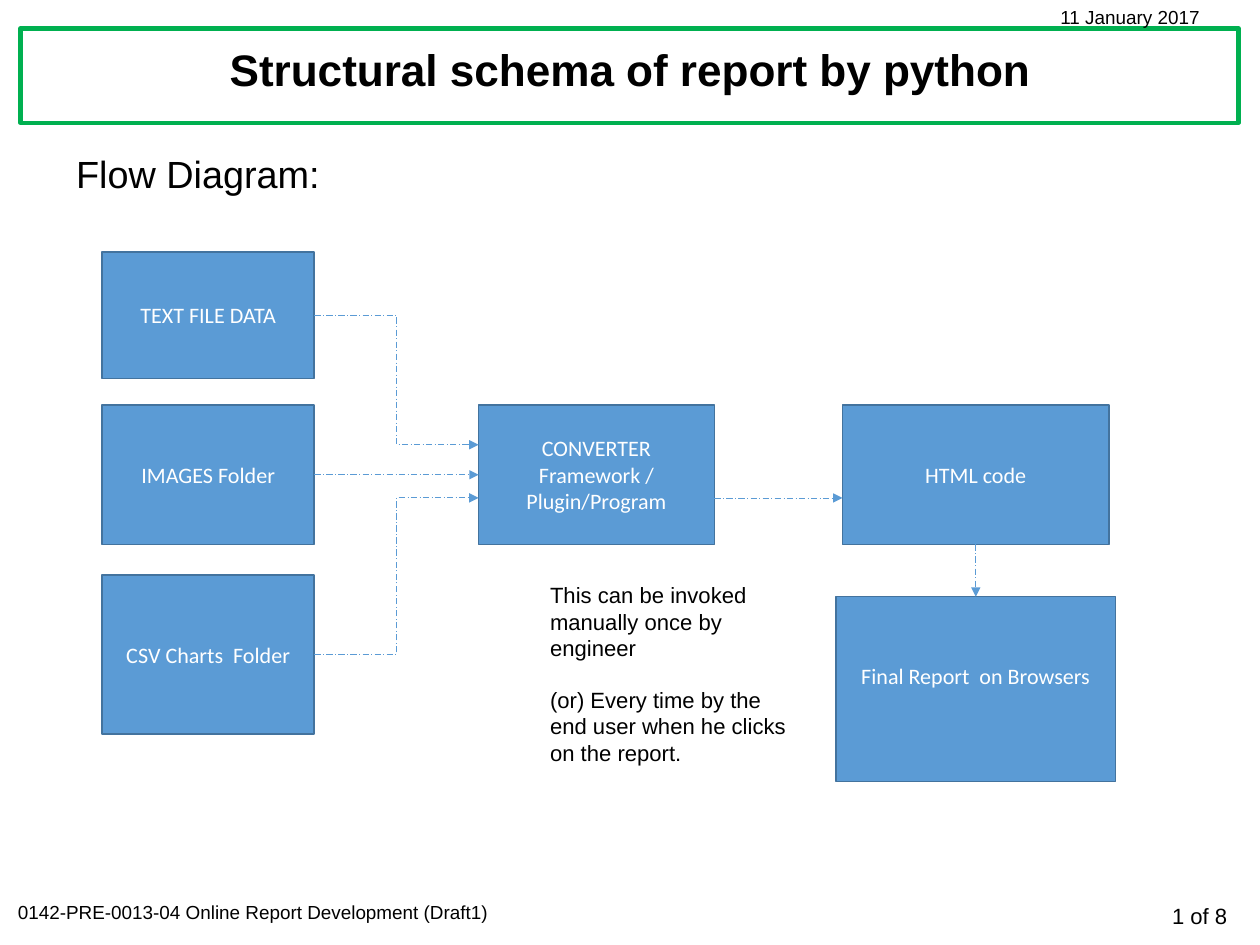
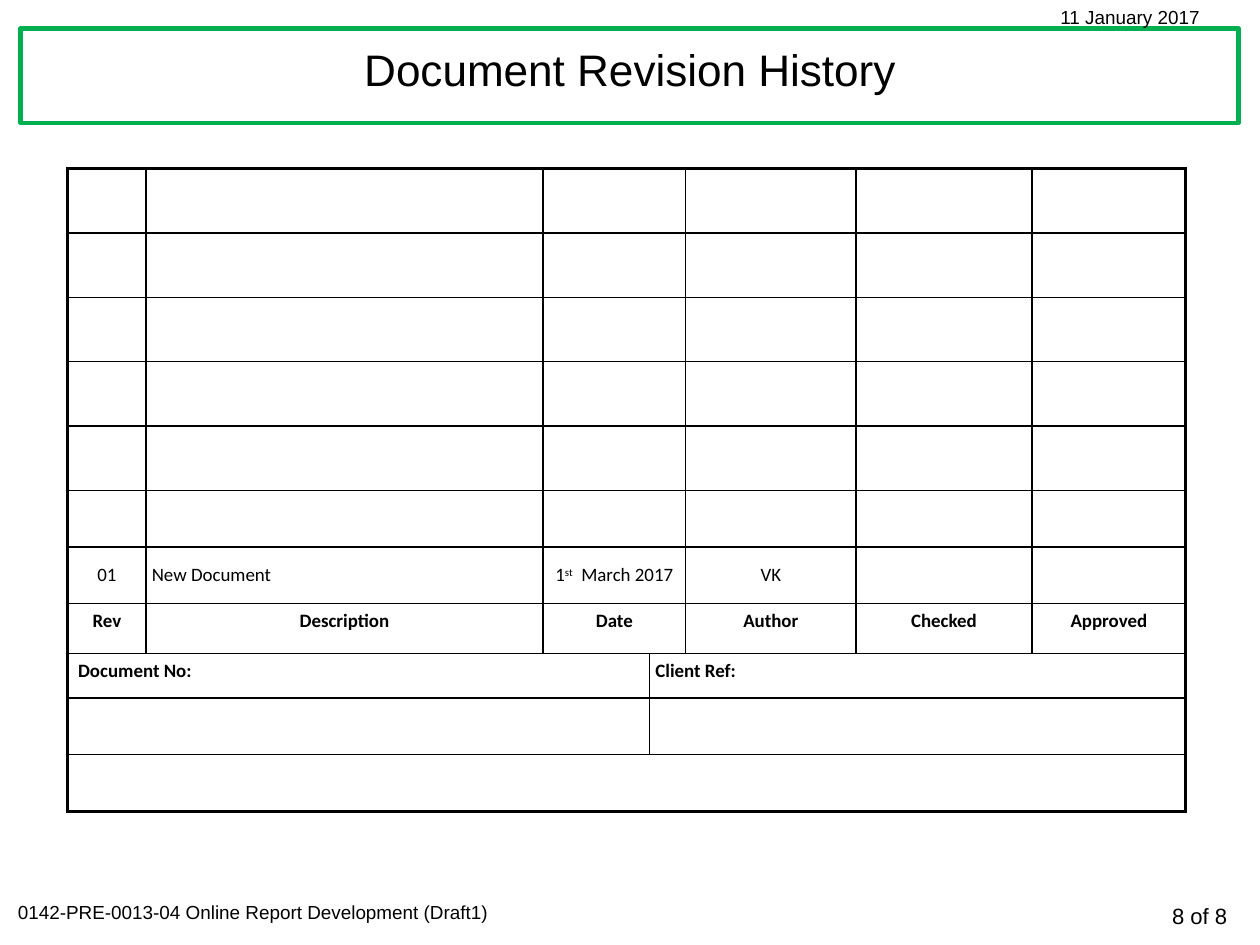
from dataclasses import dataclass
from typing import Optional

from lxml import etree
from pptx import Presentation
from pptx.dml.color import RGBColor
from pptx.enum.dml import MSO_LINE
from pptx.enum.shapes import MSO_CONNECTOR, MSO_SHAPE
from pptx.enum.text import MSO_ANCHOR, PP_ALIGN
from pptx.oxml.ns import qn
from pptx.util import Cm, Pt

BLACK = RGBColor(0x00, 0x00, 0x00)
WHITE = RGBColor(0xFF, 0xFF, 0xFF)
GREEN = RGBColor(0x00, 0xB0, 0x50)
BLUE = RGBColor(0x5B, 0x9B, 0xD5)
DARK_BLUE = RGBColor(0x43, 0x73, 0x9E)

LEFT, CENTER, RIGHT = PP_ALIGN.LEFT, PP_ALIGN.CENTER, PP_ALIGN.RIGHT
TOP, MIDDLE = MSO_ANCHOR.TOP, MSO_ANCHOR.MIDDLE
STRAIGHT, ELBOW = MSO_CONNECTOR.STRAIGHT, MSO_CONNECTOR.ELBOW
RECTANGLE = MSO_SHAPE.RECTANGLE
LONG_DASH_DOT = MSO_LINE.LONG_DASH_DOT

TITLE_AND_CONTENT, TITLE_ONLY = 1, 5
SIDE_TOP, SIDE_LEFT, SIDE_BOTTOM, SIDE_RIGHT = range(4)
PAGE_TOTAL = 8


@dataclass(frozen=True)
class Area:
    """A rectangle in centimetres."""
    left: float
    top: float
    width: float
    height: float

    def lengths(self) -> tuple:
        return Cm(self.left), Cm(self.top), Cm(self.width), Cm(self.height)

    def side(self, number: int) -> tuple:
        """Middle of one side."""
        x, y = self.left + self.width / 2, self.top + self.height / 2
        return ((x, self.top), (self.left, y), (x, self.top + self.height),
                (self.left + self.width, y))[number]


@dataclass(frozen=True)
class Style:
    size: float
    font: str = "Arial"
    color: RGBColor = BLACK
    bold: bool = False
    align: PP_ALIGN = LEFT


@dataclass(frozen=True)
class Step:
    area: Area
    lines: tuple
    bottom_inset: float = 0.13


@dataclass(frozen=True)
class Arrow:
    """A link between steps; a height replaces the middle of a side."""
    source: str
    target: str
    kind: MSO_CONNECTOR = STRAIGHT
    source_side: int = SIDE_RIGHT
    target_side: int = SIDE_LEFT
    source_height: Optional[float] = None
    target_height: Optional[float] = None


@dataclass(frozen=True)
class Entry:
    """A table cell that covers the columns from first to last."""
    first: int
    last: int
    runs: tuple = ()
    bold: bool = False
    align: PP_ALIGN = CENTER
    anchor: MSO_ANCHOR = TOP
    left_inset: float = 0.13


FRAME = Area(0.46, 0.64, 27.28, 2.11)
TITLE = Area(0.53, 0.56, 27.15, 2.11)
BODY = Area(1.45, 3.25, 25.68, 15.82)
DATE = Area(23.5, 0, 4.27, 0.76)
FOOTER = Area(0.15, 20.04, 11.13, 0.76)
PAGE_NUMBER = Area(23.88, 20.09, 3.86, 0.86)
NOTE = Area(12.07, 12.9, 6.1, 4.45)

SMALL = Style(12)
NUMBER = Style(14, align=RIGHT)
NOTE_STYLE = Style(14)
STEP_STYLE = Style(14, "Calibri", WHITE, align=CENTER)

STEPS = {
    "text": Step(Area(2.29, 5.64, 4.75, 2.84), ("TEXT FILE DATA",)),
    "images": Step(Area(2.29, 9.07, 4.75, 3.12), ("IMAGES Folder",)),
    "charts": Step(Area(2.29, 12.88, 4.75, 3.56), ("CSV Charts  Folder",)),
    "converter": Step(Area(10.72, 9.07, 5.28, 3.12),
                      ("CONVERTER", "Framework / Plugin/Program")),
    "html": Step(Area(18.87, 9.07, 5.97, 3.12), ("HTML code",)),
    "report": Step(Area(18.72, 13.36, 6.27, 4.14),
                   ("Final Report  on Browsers",), bottom_inset=0.73),
}
ARROWS = (
    Arrow("text", "converter", ELBOW, target_height=9.96),
    Arrow("images", "converter"),
    Arrow("charts", "converter", ELBOW, target_height=11.15),
    Arrow("converter", "html", source_height=11.15, target_height=11.15),
    Arrow("html", "report", source_side=SIDE_BOTTOM, target_side=SIDE_TOP),
)
NOTE_LINES = (
    "This can be invoked manually once by engineer",
    "(or) Every time by the end user when he clicks on the report.",
)

TABLE_LEFT, TABLE_TOP = 1.52, 3.78
COLUMN_WIDTHS = (1.75, 8.89, 2.39, 0.81, 3.81, 3.94, 3.45)
ROW_HEIGHTS = (1.44,) * 5 + (1.27, 1.27, 1.12, 0.99, 1.27, 1.27)
FIELDS = ((0, 0), (1, 1), (2, 3), (4, 4), (5, 5), (6, 6))
HEADINGS = ("Rev", "Description", "Date", "Author", "Checked", "Approved")
BLANK_ROW = tuple(Entry(*field) for field in FIELDS)
TABLE_ROWS = (BLANK_ROW,) * 6 + (
    (
        Entry(0, 0, ("01",), anchor=MIDDLE),
        Entry(1, 1, ("New Document",), align=LEFT, anchor=MIDDLE),
        Entry(2, 3, ("1", "st", "  March 2017"), anchor=MIDDLE),
        Entry(4, 4, ("VK",), anchor=MIDDLE),
    ) + BLANK_ROW[4:],
    tuple(Entry(*field, (name,), True) for field, name in zip(FIELDS, HEADINGS)),
    (Entry(0, 2, ("Document No:",), True, LEFT, left_inset=0.23),
     Entry(3, 6, ("Client Ref:",), True, LEFT)),
    (Entry(0, 2), Entry(3, 6)),
    (Entry(0, 6),),
)


def add_span(para, text: str, style: Style):
    para.alignment = style.align
    span = para.add_run()
    span.text = text
    font = span.font
    font.name, font.size, font.bold = style.font, Pt(style.size), style.bold
    font.color.rgb = style.color
    return span


def write_lines(frame, lines: tuple, style: Style, gap: float = 0) -> None:
    frame.word_wrap = True
    for index, line in enumerate(lines):
        para = frame.add_paragraph() if index else frame.paragraphs[0]
        if index and gap:
            para.space_before = Pt(gap)
        add_span(para, line, style)


def add_text(page, area: Area, lines: tuple, style: Style, gap: float = 0):
    box = page.shapes.add_textbox(*area.lengths())
    write_lines(box.text_frame, lines, style, gap)
    return box


def add_rectangle(page, area: Area, fill: RGBColor, line: RGBColor, weight: float):
    box = page.shapes.add_shape(RECTANGLE, *area.lengths())
    box.shadow.inherit = False
    box.fill.solid()
    box.fill.fore_color.rgb = fill
    box.line.color.rgb = line
    box.line.width = Pt(weight)
    return box


def place(holder, area: Area) -> None:
    holder.left, holder.top, holder.width, holder.height = area.lengths()


def add_page(deck, layout: int, title: str, number: int, bold: bool = False):
    """Add a slide with the shared frame, date, footer, page number and title."""
    page = deck.slides.add_slide(deck.slide_layouts[layout])
    heading = page.shapes.title
    bands = (
        add_rectangle(page, FRAME, WHITE, GREEN, 2.75),
        add_text(page, PAGE_NUMBER, (f"{number} of {PAGE_TOTAL}",), NUMBER),
        add_text(page, FOOTER, ("0142-PRE-0013-04 Online Report Development (Draft1)",), SMALL),
        add_text(page, DATE, ("11 January 2017",), SMALL),
    )
    for band in bands:
        heading.element.addprevious(band.element)
    place(heading, TITLE)
    write_lines(heading.text_frame, (title,), Style(28, bold=bold, align=CENTER))
    heading.text_frame.vertical_anchor = MIDDLE
    para = heading.text_frame.paragraphs[0]
    para.line_spacing, para.space_before = 0.9, Pt(10)
    return page


def add_step(page, step: Step):
    box = add_rectangle(page, step.area, BLUE, DARK_BLUE, 1)
    frame = box.text_frame
    frame.vertical_anchor = MIDDLE
    frame.margin_bottom = Cm(step.bottom_inset)
    write_lines(frame, step.lines, STEP_STYLE)
    return box


def add_arrow(page, arrow: Arrow, boxes: dict) -> None:
    start_x, start_y = STEPS[arrow.source].area.side(arrow.source_side)
    end_x, end_y = STEPS[arrow.target].area.side(arrow.target_side)
    start_y = arrow.source_height or start_y
    end_y = arrow.target_height or end_y
    line = page.shapes.add_connector(
        arrow.kind, Cm(start_x), Cm(start_y), Cm(end_x), Cm(end_y))
    if arrow.source_height is None:
        line.begin_connect(boxes[arrow.source], arrow.source_side)
    if arrow.target_height is None:
        line.end_connect(boxes[arrow.target], arrow.target_side)
    line.line.color.rgb = BLUE
    line.line.width = Pt(0.5)
    line.line.dash_style = LONG_DASH_DOT
    properties = line.element.spPr
    etree.SubElement(properties.find(qn("a:ln")), qn("a:tailEnd"), type="triangle")
    etree.SubElement(properties, qn("a:effectLst"))


def add_border(cell, edge: str, weight: float) -> None:
    line = etree.SubElement(cell._tc.get_or_add_tcPr(), qn(f"a:ln{edge}"), w=str(Pt(weight)))
    fill = etree.SubElement(line, qn("a:solidFill"))
    etree.SubElement(fill, qn("a:srgbClr"), val=str(BLACK))


def format_cell(table, row: int, column: int, entry: Entry) -> None:
    """Set borders (thick on the table's outline), fill and margins."""
    cell = table.cell(row, column)
    is_origin = column == entry.first
    outer = {
        "L": entry.first == 0,
        "R": entry.last == len(COLUMN_WIDTHS) - 1,
        "T": row == 0,
        "B": row == len(ROW_HEIGHTS) - 1,
    }
    for edge, is_outer in outer.items():
        if is_origin or edge in "TB" or (edge == "R" and column == entry.last):
            add_border(cell, edge, 2.25 if is_outer else 1)
    cell.fill.solid()
    cell.fill.fore_color.rgb = WHITE
    cell.margin_left, cell.margin_right = Cm(entry.left_inset), Cm(0.13)
    cell.margin_top = cell.margin_bottom = Cm(0.13 if entry.runs and is_origin else 0)


def add_revision_table(page) -> None:
    area = Area(TABLE_LEFT, TABLE_TOP, sum(COLUMN_WIDTHS), sum(ROW_HEIGHTS))
    table = page.shapes.add_table(
        len(ROW_HEIGHTS), len(COLUMN_WIDTHS), *area.lengths()).table
    table.first_row = table.horz_banding = False
    for column, width in zip(table.columns, COLUMN_WIDTHS):
        column.width = Cm(width)
    for row, (height, entries) in enumerate(zip(ROW_HEIGHTS, TABLE_ROWS)):
        table.rows[row].height = Cm(height)
        for entry in entries:
            cell = table.cell(row, entry.first)
            if entry.last > entry.first:
                cell.merge(table.cell(row, entry.last))
            for column in range(entry.first, entry.last + 1):
                format_cell(table, row, column, entry)
            cell.vertical_anchor = entry.anchor
            style = Style(12, "Calibri", bold=entry.bold, align=entry.align)
            for text in entry.runs:
                span = add_span(cell.text_frame.paragraphs[0], text, style)
                if text == "st":
                    span._r.get_or_add_rPr().set("baseline", "30000")


def build_flow_page(deck) -> None:
    page = add_page(deck, TITLE_AND_CONTENT, "Structural schema of report by python", 1, True)
    body = page.placeholders[1]
    place(body, BODY)
    write_lines(body.text_frame, ("Flow Diagram:",), Style(24))
    para = body.text_frame.paragraphs[0]
    para.space_before = Pt(10)
    properties = para._p.get_or_add_pPr()
    properties.set("marL", "0")
    properties.set("indent", "0")
    etree.SubElement(properties, qn("a:buNone"))
    boxes = {name: add_step(page, step) for name, step in STEPS.items()}
    for arrow in ARROWS:
        add_arrow(page, arrow, boxes)
    add_text(page, NOTE, NOTE_LINES, NOTE_STYLE, gap=16)


def main() -> None:
    deck = Presentation()
    deck.slide_width, deck.slide_height = Cm(28.22), Cm(21.16)
    build_flow_page(deck)
    add_revision_table(add_page(deck, TITLE_ONLY, "Document Revision History", PAGE_TOTAL))
    deck.save("out.pptx")


if __name__ == "__main__":
    main()
